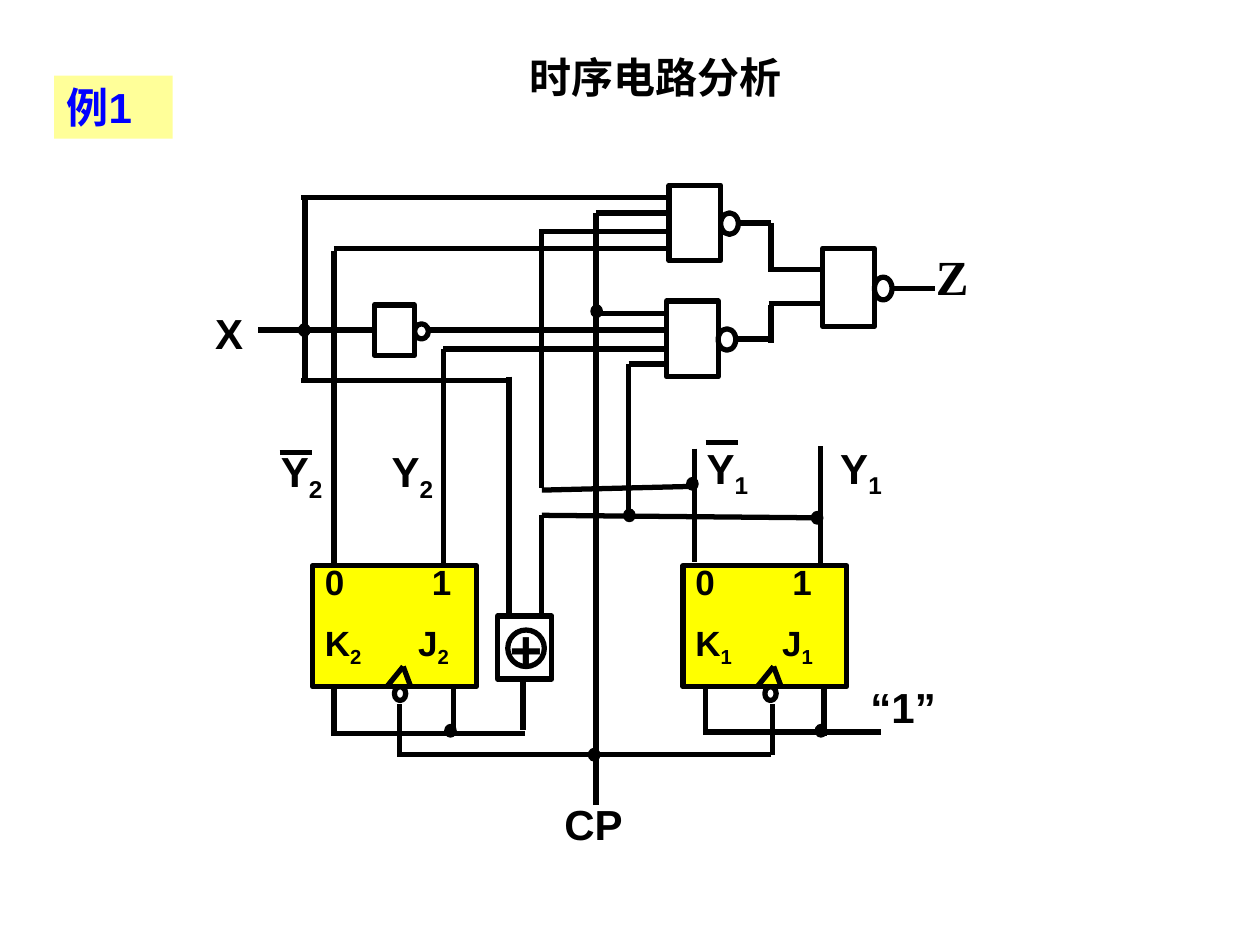
from dataclasses import dataclass
from itertools import pairwise

from lxml import etree
from pptx import Presentation
from pptx import util as u
from pptx.dml.color import RGBColor
from pptx.enum import shapes, text
from pptx.oxml import ns

COLUMNS, ROWS = 1000, 750


@dataclass(frozen=True)
class Theme:
    ink: str = "000000"
    badge_ink: str = "0000FF"
    badge_fill: str = "FFFF99"
    flip_flop_fill: str = "FFFF00"
    sans: str = "Arial"
    serif: str = "Times New Roman"
    pin_size: int = 20
    label_size: int = 24
    output_size: int = 28
    plus_size: int = 32
    wire_width: float = 3
    dot_width: float = 0.75


THEME = Theme()
presentation = Presentation()
presentation.slide_width = u.Inches(10)
presentation.slide_height = u.Inches(7.5)
slide = presentation.slides.add_slide(presentation.slide_layouts[6])
CELL_WIDTH = presentation.slide_width // COLUMNS
CELL_HEIGHT = presentation.slide_height // ROWS


def place(column, row):
    return column * CELL_WIDTH, row * CELL_HEIGHT


def add_run(paragraph, words, size, font=THEME.sans, color=THEME.ink, subscript=False):
    run = paragraph.add_run()
    run.text = words
    run.font.size = u.Pt(size)
    run.font.name = font
    run.font.bold = True
    run.font.color.rgb = RGBColor.from_string(color)
    if subscript:
        run.font._element.set("baseline", "-25000")


def add_figure(kind, column, row, width, height, fill=None, line=THEME.wire_width):
    shape = slide.shapes.add_shape(kind, *place(column, row), *place(width, height))
    shape.shadow.inherit = False
    if fill:
        shape.fill.solid()
        shape.fill.fore_color.rgb = RGBColor.from_string(fill)
    else:
        shape.fill.background()
    if line:
        shape.line.color.rgb = RGBColor.from_string(THEME.ink)
        shape.line.width = u.Pt(line)
    else:
        shape.line.fill.background()
    return shape


def rectangle(*box, **style):
    return add_figure(shapes.MSO_SHAPE.RECTANGLE, *box, **style)


def ellipse(*box, **style):
    return add_figure(shapes.MSO_SHAPE.OVAL, *box, **style)


def wire(*points):
    for start, end in pairwise(points):
        connector = slide.shapes.add_connector(
            shapes.MSO_CONNECTOR.STRAIGHT, *place(*start), *place(*end))
        connector.line.color.rgb = RGBColor.from_string(THEME.ink)
        connector.line.width = u.Pt(THEME.wire_width)
        etree.SubElement(connector._element.spPr, ns.qn("a:effectLst"))


def junction(column, row):
    ellipse(column, row, 9, 10, fill=THEME.ink, line=THEME.dot_width)


def label(column, row, width, words, subscript="", height=50,
          size=THEME.label_size, font=THEME.sans, centered=False):
    box = slide.shapes.add_textbox(*place(column, row), *place(width, height))
    box.text_frame.word_wrap = True
    paragraph = box.text_frame.paragraphs[0]
    if centered:
        paragraph.alignment = text.PP_ALIGN.CENTER
    add_run(paragraph, words, size, font)
    if subscript:
        add_run(paragraph, subscript, size, font, subscript=True)


def badge(column, row, width, height):
    shape = rectangle(column, row, width, height, fill=THEME.badge_fill, line=None)
    shape.text_frame.vertical_anchor = text.MSO_ANCHOR.TOP
    paragraph = shape.text_frame.paragraphs[0]
    paragraph.alignment = text.PP_ALIGN.LEFT
    add_run(paragraph, "例1", THEME.label_size, color=THEME.badge_ink)


def gate(column, row, width, height, bubble_width=14, bubble_height=17):
    rectangle(column, row, width, height)
    ellipse(column + width, row + (height - bubble_height) // 2 + 1,
            bubble_width, bubble_height)


def exclusive_or(column, row, width, height):
    rectangle(column, row, width, height)
    circle = ellipse(column + 8, row + 11, 29, 29)
    frame = circle.text_frame
    frame.word_wrap = False
    frame.vertical_anchor = text.MSO_ANCHOR.MIDDLE
    frame.paragraphs[0].alignment = text.PP_ALIGN.CENTER
    add_run(frame.paragraphs[0], "+", THEME.plus_size)


def flip_flop(column, row, width, height, index, tabs):
    shape = rectangle(column, row, width, height, fill=THEME.flip_flop_fill)
    frame = shape.text_frame
    frame.vertical_anchor = text.MSO_ANCHOR.TOP
    frame.margin_left, frame.margin_right = u.Inches(0.1), u.Inches(0.02)
    frame.margin_top = frame.margin_bottom = u.Inches(0.01)
    outputs, inputs = frame.paragraphs[0], frame.add_paragraph()
    for paragraph, tab in zip((outputs, inputs), tabs):
        paragraph.alignment = text.PP_ALIGN.LEFT
        paragraph.line_spacing = 0.85
        paragraph.space_before = u.Pt(12)
        stops = etree.SubElement(paragraph._p.get_or_add_pPr(), ns.qn("a:tabLst"))
        etree.SubElement(stops, ns.qn("a:tab"), pos=str(tab * CELL_WIDTH), algn="l")
    add_run(outputs, "0\t1", THEME.pin_size)
    add_run(inputs, "K", THEME.pin_size)
    add_run(inputs, index, THEME.pin_size, subscript=True)
    add_run(inputs, "\tJ", THEME.pin_size)
    add_run(inputs, index, THEME.pin_size, subscript=True)
    bottom = row + height
    wire((column + 59, bottom), (column + 72, bottom - 16), (column + 78, bottom))
    ellipse(column + 65, bottom, 9, 11)


def wiring():
    routes = [
        [(205, 262), (298, 262)], [(340, 262), (530, 262)],
        [(239, 157), (532, 157)], [(242, 159), (242, 304)],
        [(239, 302), (404, 302)], [(404, 299), (404, 489)],
        [(473, 639), (473, 169)], [(473, 169), (532, 169)],
        [(473, 249), (530, 249)],
        [(430, 387), (430, 182)], [(428, 184), (530, 184)],
        [(265, 451), (265, 199)], [(265, 197), (532, 197)],
        [(352, 449), (352, 277), (528, 277)],
        [(499, 409), (499, 289), (530, 289)],
        [(430, 389), (551, 386)],
        [(430, 489), (430, 409), (651, 411)],
        [(551, 356), (551, 446)], [(651, 354), (651, 449)],
        [(586, 177), (612, 177), (612, 216)], [(610, 214), (653, 214)],
        [(584, 269), (610, 269)], [(612, 272), (612, 242)], [(610, 241), (653, 241)],
        [(707, 229), (742, 229)],
        [(265, 546), (265, 584)], [(265, 582), (417, 582)],
        [(360, 546), (360, 584)], [(415, 539), (415, 579)],
        [(560, 546), (560, 583)], [(560, 581), (699, 581)],
        [(654, 546), (654, 584)],
        [(317, 559), (317, 601)], [(317, 599), (612, 599)], [(613, 559), (613, 599)],
        [(222, 359), (248, 359)], [(560, 351), (586, 351)],
    ]
    for route in routes:
        wire(*route)
    for dot in [(237, 257), (469, 242), (545, 379), (644, 406),
                (495, 404), (353, 575), (647, 575), (467, 594)]:
        junction(*dot)


def labels():
    label(193, 36, 654, "时序电路分析", centered=True)
    label(161, 239, 52, "X")
    label(438, 629, 105, "CP")
    label(681, 536, 81, "“1”")
    label(733, 191, 78, "Z", height=57, size=THEME.output_size, font=THEME.serif)
    for column, row, index in [(213, 349, "2"), (301, 349, "2"),
                               (551, 346, "1"), (657, 346, "1")]:
        label(column, row, 105, "Y", index)


badge(43, 60, 94, 50)
flip_flop(248, 449, 130, 96, "2", tabs=(85, 74))
flip_flop(542, 449, 130, 96, "1", tabs=(77, 69))
gate(531, 147, 41, 60)
gate(529, 239, 41, 60)
gate(653, 197, 41, 62, bubble_height=18)
gate(297, 242, 32, 40, bubble_width=11, bubble_height=12)
exclusive_or(395, 489, 43, 50)
wiring()
labels()
presentation.save("out.pptx")
